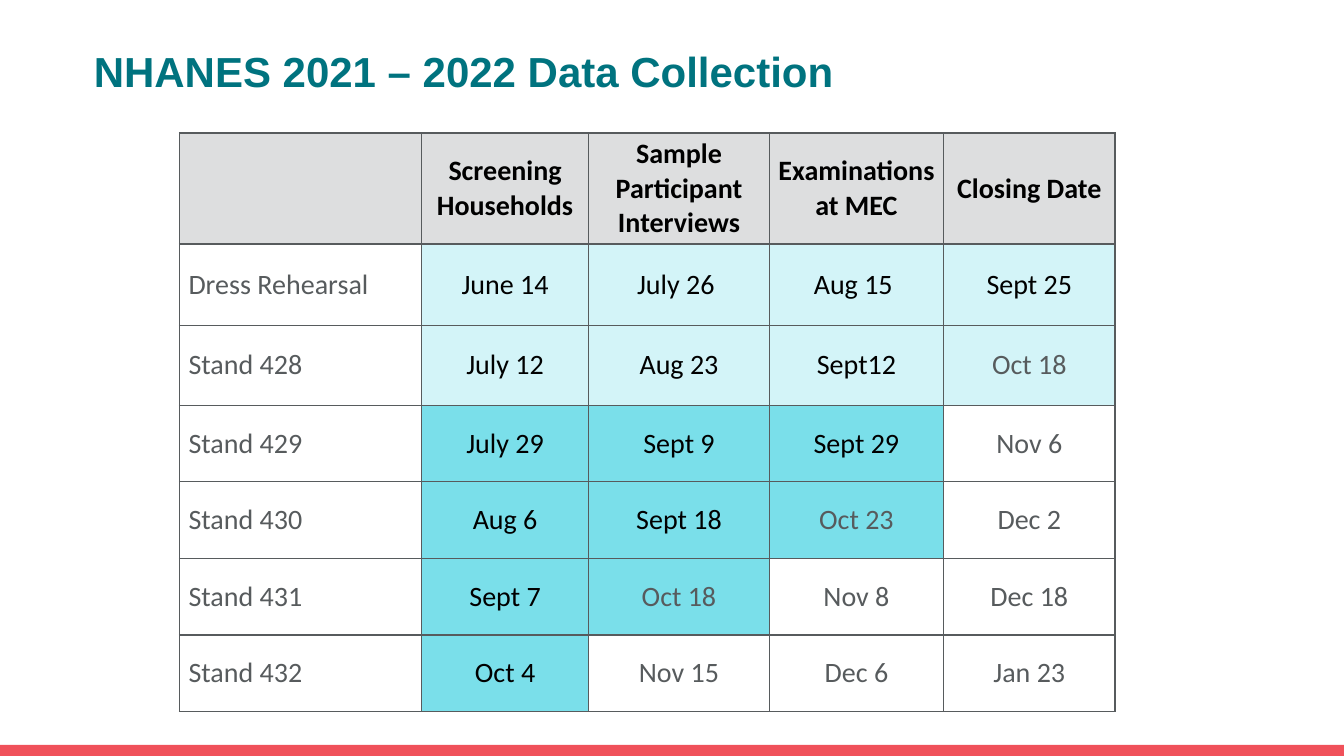
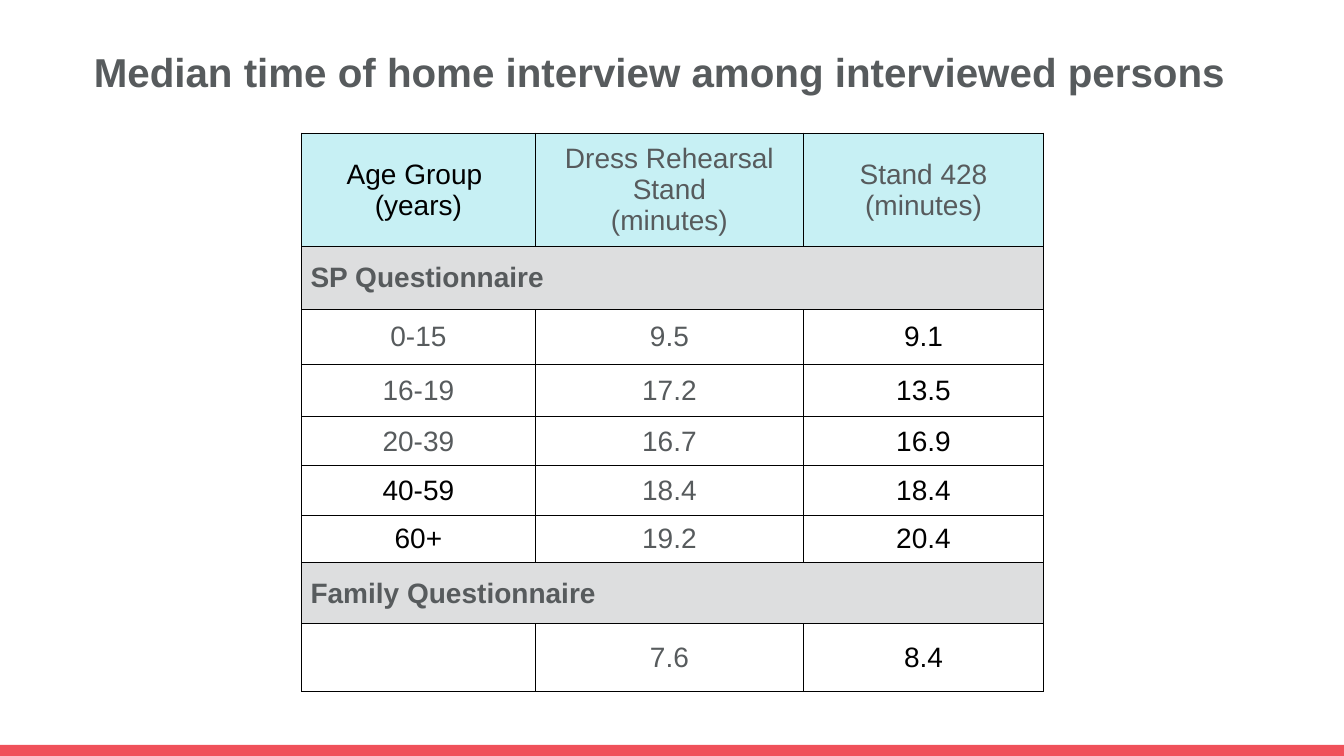
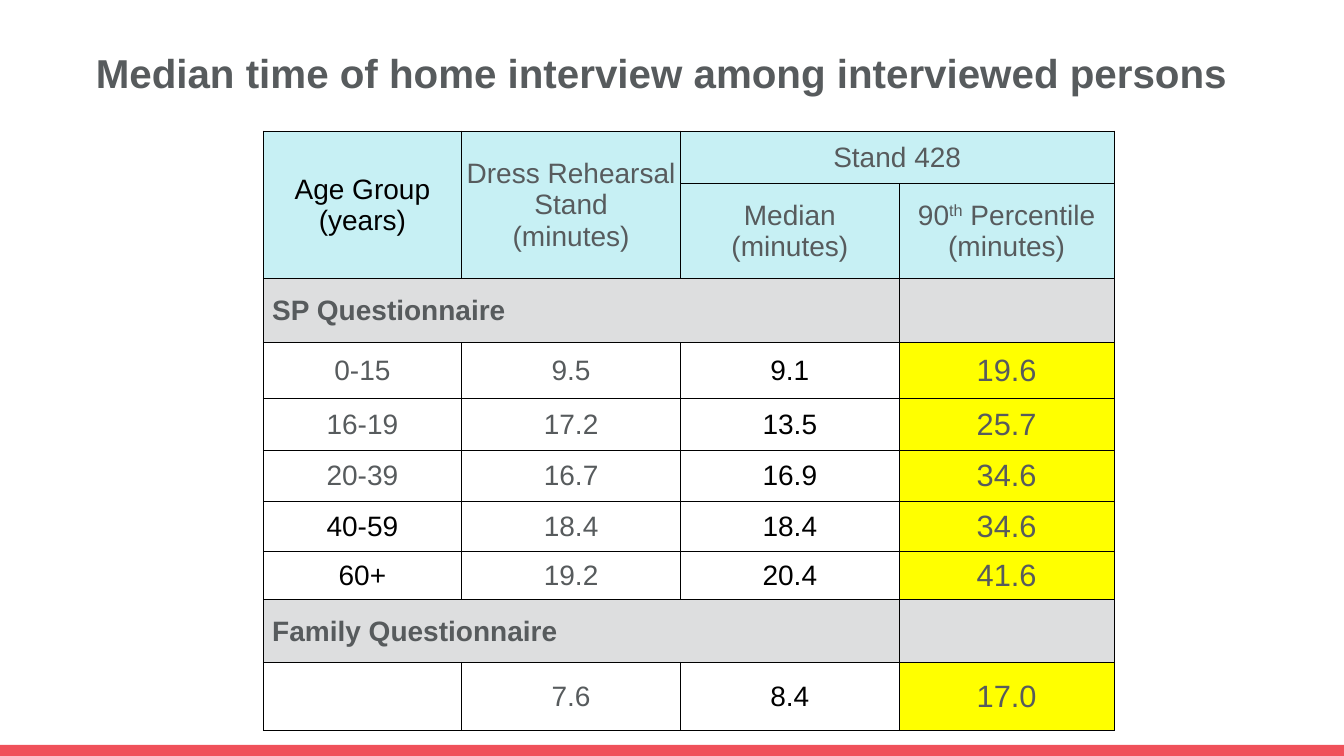
"""Build three slides on survey fieldwork dates and home interview times."""
from lxml import etree
from pptx import Presentation
from pptx import util as u
from pptx.dml import color
from pptx.enum import shapes, text
from pptx.oxml import ns

PX = 9144


class Theme:
    teal = "00737F"
    grey = "575B5D"
    black = "000000"
    white = "FFFFFF"
    coral = "F0515A"
    silver = "DDDEDF"
    pale = "D3F4F8"
    aqua = "7ADFEA"
    ice = "C7F0F4"
    yellow = "FFFF00"
    sans = "Arial"
    table_sans = "Calibri"
    title = 30
    long_title = 28.8
    body = 20
    emphasis = 22


def add_grid(page, left, top, widths, heights, border_color, border_points):
    """Add a plain table whose cells all carry the same border."""
    frame = page.shapes.add_table(len(heights), len(widths), left * PX, top * PX,
                                  sum(widths) * PX, sum(heights) * PX)
    table = frame.table
    table.first_row = table.horz_banding = False
    for column, width in zip(table.columns, widths):
        column.width = width * PX
    for row, height in zip(table.rows, heights):
        row.height = height * PX
    for cell in table.iter_cells():
        properties = cell._tc.get_or_add_tcPr()
        for side in ("lnL", "lnR", "lnT", "lnB"):
            line = etree.SubElement(properties, ns.qn(f"a:{side}"), w=str(u.Pt(border_points)))
            solid = etree.SubElement(line, ns.qn("a:solidFill"))
            etree.SubElement(solid, ns.qn("a:srgbClr"), val=border_color)
        cell.fill.background()
    return table


def write_cell(cell, content, ink, font, fill=None, margins=(1, 1, 1, 0),
               size=Theme.body, bold=False, align=text.PP_ALIGN.CENTER):
    """Fill a cell; a newline starts a paragraph and ^ encloses a superscript."""
    cell.vertical_anchor = text.MSO_ANCHOR.MIDDLE
    cell.margin_left, cell.margin_top, cell.margin_right, cell.margin_bottom = (
        margin * PX for margin in margins)
    if fill:
        cell.fill.solid()
        cell.fill.fore_color.rgb = color.RGBColor.from_string(fill)
    if not content:
        return
    for number, line in enumerate(content.split("\n")):
        box = cell.text_frame
        para = box.add_paragraph() if number else box.paragraphs[0]
        para.alignment = align
        for position, piece in enumerate(line.split("^")):
            span = para.add_run()
            span.text = piece
            span.font.name = font
            span.font.size = u.Pt(size)
            span.font.bold = bold
            span.font.color.rgb = color.RGBColor.from_string(ink)
            if position % 2:
                span.font._element.set("baseline", "30000")


deck = Presentation()
deck.slide_width, deck.slide_height = 1333 * PX, 750 * PX
layout = deck.slide_layouts[5]

interview_title = "Median time of home interview among interviewed persons"
titles = [
    ("NHANES 2021 – 2022 Data Collection", Theme.teal, Theme.title, (83, 34, 1150, 73)),
    (interview_title, Theme.grey, Theme.long_title, (83, 34, 1150, 73)),
    (interview_title, Theme.grey, Theme.long_title, (85, 35, 1198, 73)),
]
pages = []
for wording, ink, size, place in titles:
    page = deck.slides.add_slide(layout)
    box = page.shapes.title
    box.left, box.top, box.width, box.height = (length * PX for length in place)
    box.text_frame.auto_size = text.MSO_AUTO_SIZE.NONE
    box.text_frame.vertical_anchor = text.MSO_ANCHOR.MIDDLE
    para = box.text_frame.paragraphs[0]
    para.alignment = text.PP_ALIGN.LEFT
    span = para.add_run()
    span.text = wording
    span.font.name = Theme.sans
    span.font.size = u.Pt(size)
    span.font.bold = True
    span.font.color.rgb = color.RGBColor.from_string(ink)
    pages.append(page)
schedule_page, median_page, percentile_page = pages

band = schedule_page.shapes.add_shape(shapes.MSO_SHAPE.RECTANGLE, 0, 739 * PX, 1333 * PX, 11 * PX)
band.shadow.inherit = False
band.fill.solid()
band.fill.fore_color.rgb = color.RGBColor.from_string(Theme.coral)
band.line.fill.background()
layout.placeholders[0].element.addprevious(band.element)

schedule_heads = ["", "Screening Households", "Sample Participant Interviews",
                  "Examinations at MEC", "Closing Date"]
schedule = [
    ("Dress Rehearsal", 4, 4, Theme.pale, ["June 14", "July 26 ", "Aug 15 ", "Sept 25"]),
    ("Stand 428", 3, 4, Theme.pale, ["July 12", "Aug 23", "Sept12", "Oct 18"]),
    ("Stand 429", 3, 3, Theme.aqua, ["July 29", "Sept 9", "Sept 29", "Nov 6"]),
    ("Stand 430", 2, 3, Theme.aqua, ["Aug 6", "Sept 18", "Oct 23", "Dec 2"]),
    ("Stand 431", 1, 2, Theme.aqua, ["Sept 7", "Oct 18", "Nov 8", "Dec 18"]),
    ("Stand 432", 1, 1, Theme.aqua, ["Oct 4", "Nov 15", "Dec 6", "Jan 23"]),
]
schedule_margins = (9, 4, 9, 4)
table = add_grid(schedule_page, 178, 132, [240, 166, 179, 173, 170],
                 [76, 81, 79, 76, 76, 76, 76], Theme.grey, 1)
for column, head in enumerate(schedule_heads):
    write_cell(table.cell(0, column), head, Theme.black, Theme.table_sans, Theme.silver,
               schedule_margins, bold=True)
for row, (stand, done, shaded, shade, dates) in enumerate(schedule, 1):
    write_cell(table.cell(row, 0), stand, Theme.grey, Theme.table_sans,
               margins=schedule_margins, align=text.PP_ALIGN.LEFT)
    for column, date in enumerate(dates, 1):
        write_cell(table.cell(row, column), date,
                   Theme.black if column <= done else Theme.grey, Theme.table_sans,
                   shade if column <= shaded else None, schedule_margins)

times = [
    ["SP Questionnaire"],
    ["0-15", "9.5", "9.1", "19.6"],
    ["16-19", "17.2", "13.5", "25.7"],
    ["20-39", "16.7", "16.9", "34.6"],
    ["40-59", "18.4", "18.4", "34.6"],
    ["60+", "19.2", "20.4", "41.6"],
    ["Family Questionnaire"],
    ["", "7.6", "8.4", "17.0"],
]
rehearsal_head = "Dress Rehearsal Stand\n(minutes)"
interview_tables = [
    (median_page, 299, 132, [232, 266, 238], [112, 63, 54, 52, 49, 49, 47, 61, 67],
     [["Age Group \n(years)", rehearsal_head, "Stand 428\n(minutes)"]], []),
    (percentile_page, 261, 130, [197, 217, 217, 213],
     [52, 83, 64, 55, 52, 50, 50, 48, 62, 68],
     [["Age Group (years)", rehearsal_head, "Stand 428", ""],
      ["", "", "Median\n(minutes)", "90^th^ Percentile\n(minutes)"]],
     [(0, 0, 1, 0), (0, 1, 1, 1), (0, 2, 0, 3)]),
]
for page, left, top, widths, heights, heads, merges in interview_tables:
    table = add_grid(page, left, top, widths, heights, Theme.black, 0.5)
    for row, labels in enumerate(heads):
        for column, label in enumerate(labels):
            write_cell(table.cell(row, column), label,
                       Theme.grey if column else Theme.black, Theme.sans, Theme.ice)
    for first_row, first_column, last_row, last_column in merges:
        table.cell(first_row, first_column).merge(table.cell(last_row, last_column))
    for row, values in enumerate(times, len(heads)):
        if len(values) == 1:
            for column in range(len(widths)):
                write_cell(table.cell(row, column), "" if column else values[0], Theme.grey,
                           Theme.sans, Theme.silver, (9, 1, 1, 0), bold=True,
                           align=text.PP_ALIGN.LEFT)
            table.cell(row, 0).merge(table.cell(row, 2))
            continue
        for column, value in enumerate(values[:len(widths)]):
            dark = column == 2 or value in ("40-59", "60+")
            write_cell(table.cell(row, column), value, Theme.black if dark else Theme.grey,
                       Theme.sans, (Theme.white, None, None, Theme.yellow)[column],
                       size=Theme.emphasis if column == 3 else Theme.body)

deck.save("out.pptx")
